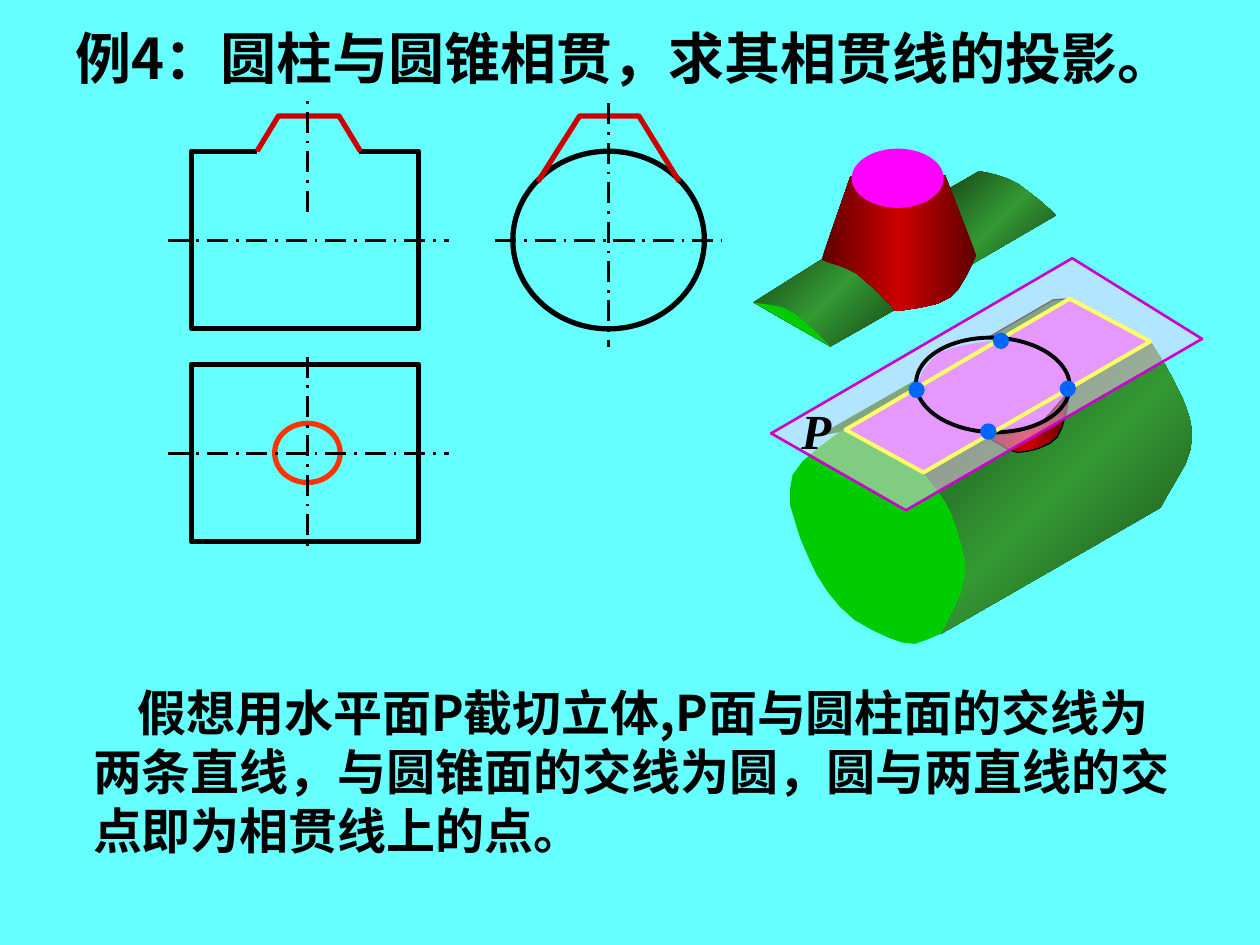
from copy import deepcopy

from lxml.etree import SubElement
from pptx import Presentation
from pptx.dml.color import RGBColor
from pptx.enum.dml import MSO_LINE
from pptx.enum.shapes import MSO_CONNECTOR, MSO_SHAPE
from pptx.enum.text import MSO_ANCHOR, MSO_AUTO_SIZE, PP_ALIGN
from pptx.oxml.ns import qn
from pptx.util import Pt

UNIT = 0.72  # points per drawing unit: 100 units to the inch
STEPS = 4  # straight pieces between two points of a curve

COLORS = {
    "background": "66FFFF", "black": "000000", "red": "CC0000", "dark red": "5E0000",
    "orange": "FF3300", "green": "339933", "dark green": "184718", "back green": "008000",
    "end green": "00CC00", "magenta": "FF00FF", "violet": "CC66FF", "plane": "FFCCFF",
    "plane edge": "CC00CC", "yellow": "FFFF66", "blue": "0066FF",
}
GRADIENTS = {  # edge colour, middle colour, angle
    "cylinder": ("dark green", "green", 315),
    "cone": ("dark red", "red", 0),
}

TITLE = "例4：圆柱与圆锥相贯，求其相贯线的投影。"
EXPLANATION = ("假想用水平面P截切立体,P面与圆柱面的交线为两条直线，"
               "与圆锥面的交线为圆，圆与两直线的交点即为相贯线上的点。")

# Projection views: lines are x1, y1, x2, y2; outlines are left, top, width, height
CENTER_LINES = [(393, 191, 573, 191), (483, 82, 483, 275), (133, 191, 356, 191),
                (133, 360, 356, 360), (244, 283, 244, 435), (244, 168, 244, 80)]
VIEW_OUTLINES = [
    (MSO_SHAPE.OVAL, (407, 120, 152, 141), "black"),
    (MSO_SHAPE.RECTANGLE, (152, 120, 180, 141), "black"),
    (MSO_SHAPE.RECTANGLE, (152, 289, 180, 141), "black"),
    (MSO_SHAPE.OVAL, (218, 336, 52, 47), "orange"),
]
OPENING = (204, 120, 285, 120)
CONE_OUTLINES = [[(427, 144), (460, 92), (507, 92), (539, 144)],
                 [(204, 120), (221, 92), (269, 92), (286, 120)]]


def curve(*points):
    """Smooth line through the points (Catmull-Rom)."""
    padded = [points[0], *points, points[-1]]
    result = [points[0]]
    for a, b, c, d in zip(padded, padded[1:], padded[2:], padded[3:]):
        for step in range(1, STEPS + 1):
            t = step / STEPS
            result.append(tuple(
                round(q + t * (r - p + t * (2 * p - 5 * q + 4 * r - s
                                            + t * (3 * q - p - 3 * r + s))) / 2)
                for p, q, r, s in zip(a, b, c, d)))
    return result


# Curves shared by neighbouring faces
upper_far_edge = curve((777, 136), (808, 146), (838, 171))
upper_joint = curve((652, 206), (680, 217), (710, 246))
upper_rim = curve((659, 275), (629, 248), (598, 240))
cone_foot = curve((710, 247), (754, 236), (775, 203))
front_rim = curve((747, 503), (766, 457), (755, 408), (733, 375))
end_rim = curve((671, 340), (629, 377), (635, 427), (667, 482), (716, 510), (747, 503))
back_rim = curve((913, 271), (938, 315), (945, 356), (921, 403))
circle_left = curve((793, 270), (745, 280), (726, 309))
circle_right = curve((783, 346), (821, 339), (849, 310))
cone_below = curve((849, 310), (839, 347), (808, 359), (783, 346))
section = [(671, 341), (733, 375), (913, 271), (849, 237)]

# Faces from back to front: fill, outline (colour, width) or None, points
UPPER_PART = [
    ("cylinder", None, [(751, 151), *upper_far_edge, (771, 210)]),
    ("cylinder", None, [(598, 240), *upper_joint, (659, 275)]),
    ("cone", None, [(675, 140), *upper_joint, *cone_foot, (750, 139)]),
    ("end green", None, upper_rim),
]
CONE_TOP = (676, 118, 73, 47)
LOWER_PART = [
    ("cylinder", None, back_rim + front_rim),
    ("violet", None, section[:2] + circle_right + section[2:] + circle_left),
    ("cone", ("black", 0.75), circle_right + cone_below),
    ("back green", ("black", 0.75), [(784, 268), (836, 238), (850, 237), (793, 270)]),
    ("back green", None, [(726, 302), (649, 346), (667, 343), (729, 308)]),
    ("end green", None, end_rim + front_rim),
    ("plane", ("plane edge", 1.5), [(612, 344), (851, 205), (954, 269), (719, 405)]),
]
SECTION_CIRCLE = (727, 268, 122, 75)
DOT_SIZE = 13
DOTS = [(778, 336), (721, 303), (788, 264), (841, 302)]

presentation = Presentation()
presentation.slide_width, presentation.slide_height = Pt(720), Pt(540)
slide = presentation.slides.add_slide(presentation.slide_layouts[5])
shapes = slide.shapes


def color(name):
    return RGBColor.from_string(COLORS[name])


def scaled(*values):
    return [Pt(value * UNIT) for value in values]


def style(shape, fill=None, outline=None):
    shape.shadow.inherit = False
    if fill in GRADIENTS:
        edge, middle, angle = GRADIENTS[fill]
        shape.fill.gradient()
        shape.fill.gradient_angle = angle
        stop_list = shape._element.spPr.find(".//" + qn("a:gsLst"))
        stop_list.insert(1, deepcopy(stop_list[0]))
        for stop, name, position in zip(shape.fill.gradient_stops,
                                        (edge, middle, edge), (0, 0.5, 1)):
            stop.color.rgb = color(name)
            stop.position = position
    elif fill:
        shape.fill.solid()
        shape.fill.fore_color.rgb = color(fill)
    else:
        shape.fill.background()
    if outline:
        shape.line.color.rgb = color(outline[0])
        shape.line.width = Pt(outline[1])
    else:
        shape.line.fill.background()


def add_preset(kind, box, fill=None, outline=None):
    shape = shapes.add_shape(kind, *scaled(*box))
    style(shape, fill, outline)
    return shape


def add_line(ends, name, width, dash=None):
    line = shapes.add_connector(MSO_CONNECTOR.STRAIGHT, *scaled(*ends))
    line.line.color.rgb = color(name)
    line.line.width = Pt(width)
    if dash:
        line.line.dash_style = dash
    SubElement(line._element.spPr, qn("a:effectLst"))


def add_outline(fill, outline, points, close=True):
    builder = shapes.build_freeform(*points[0], scale=Pt(UNIT))
    builder.add_line_segments(points[1:], close=close)
    shape = builder.convert_to_shape()
    style(shape, fill, outline)
    return shape


def write(shape, box, text, size, font_name, anchor, wrap, align=PP_ALIGN.LEFT):
    shape.left, shape.top, shape.width, shape.height = scaled(*box)
    frame = shape.text_frame
    frame.text = text
    frame.word_wrap = wrap
    frame.auto_size = MSO_AUTO_SIZE.NONE
    frame.vertical_anchor = anchor
    paragraph = frame.paragraphs[0]
    paragraph.alignment = align
    run = paragraph.runs[0]
    run.font.size, run.font.bold, run.font.name = Pt(size), True, font_name
    run.font.color.rgb = color("black")
    SubElement(run._r.get_or_add_rPr(), qn("a:ea")).set("typeface", font_name)
    return paragraph


# Title and explanation
write(shapes.title, (50, 14, 922, 64), TITLE, 32, "Noto Sans CJK SC", MSO_ANCHOR.TOP, False)
explanation = write(shapes.add_textbox(0, 0, 0, 0), (64, 537, 878, 150), EXPLANATION, 28,
                    "Noto Sans CJK SC", MSO_ANCHOR.MIDDLE, True)
explanation._p.get_or_add_pPr().set("indent", str(Pt(25.5)))

# Three projection views
for kind, box, name in VIEW_OUTLINES:
    add_preset(kind, box, outline=(name, 3))
add_line(OPENING, "background", 4.5)
for points in CONE_OUTLINES:
    add_outline(None, ("red", 3), points, close=False)
for ends in CENTER_LINES:
    add_line(ends, "black", 1.5, MSO_LINE.LONG_DASH_DOT)

# Solid cut by plane P
for face in UPPER_PART:
    add_outline(*face)
add_preset(MSO_SHAPE.OVAL, CONE_TOP, "magenta")
for face in LOWER_PART:
    plane = add_outline(*face)
plane_color = plane._element.spPr.find(qn("a:solidFill"))[0]
SubElement(plane_color, qn("a:alpha")).set("val", "50000")

# Section curves, their common points and the plane label
add_preset(MSO_SHAPE.OVAL, SECTION_CIRCLE, outline=("black", 2.25)).rotation = 1.7
add_outline(None, ("yellow", 2.25), section)
for left, top in DOTS:
    add_preset(MSO_SHAPE.OVAL, (left, top, DOT_SIZE, DOT_SIZE), "blue")
label = write(shapes.add_textbox(0, 0, 0, 0), (626, 313, 44, 57), "P", 28,
              "Times New Roman", MSO_ANCHOR.MIDDLE, False, PP_ALIGN.CENTER)
label.runs[0].font.italic = True

# Background
slide.background.fill.solid()
slide.background.fill.fore_color.rgb = color("background")

presentation.save("out.pptx")
